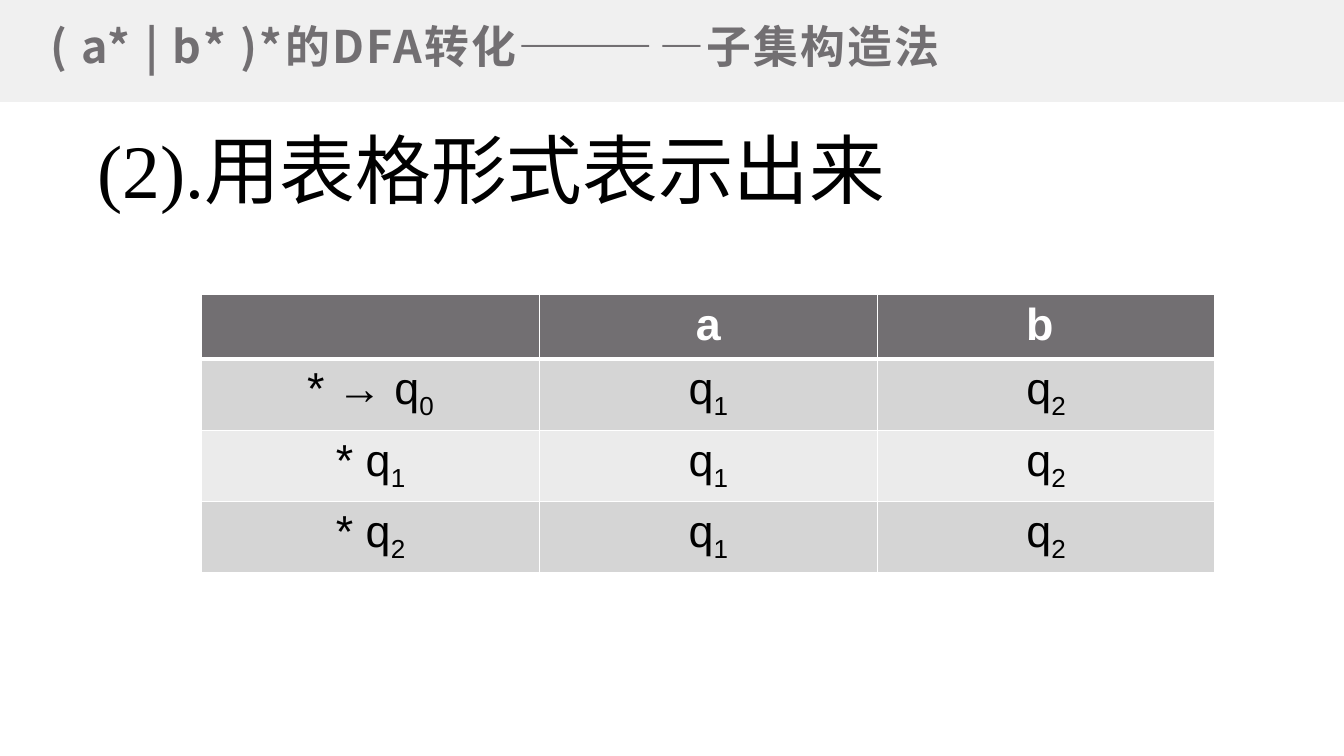
from dataclasses import dataclass

from lxml import etree
from pptx import Presentation, util as u
from pptx.dml.color import RGBColor
from pptx.enum import shapes, text
from pptx.oxml.ns import qn


@dataclass(frozen=True)
class Theme:
    band: str = "F0F0F0"
    grey: str = "726F72"
    white: str = "FFFFFF"
    black: str = "000000"
    rows: tuple = ("EBEBEB", "D5D5D5")
    sans: str = "Arial"
    serif: str = "Times New Roman"
    han: str = "Noto Sans CJK SC"
    body: int = 32
    head: int = 54


class Deck:
    """Draws on one slide; every box is (left, top, width, height) as shares of the slide."""

    def __init__(self, theme):
        self.theme = theme
        self.prs = Presentation()
        self.prs.slide_width = u.Inches(13.33)
        self.prs.slide_height = u.Inches(7.5)
        self.slide = self.prs.slides.add_slide(self.prs.slide_layouts[5])

    def place(self, box):
        wide, high = self.prs.slide_width, self.prs.slide_height
        return [round(part * side) for part, side in zip(box, (wide, high) * 2)]

    def style(self, run, face, size, color, bold=False):
        font = run.font
        font.name, font.size, font.bold = face, u.Pt(size), bold
        font.color.rgb = RGBColor.from_string(color)
        props = font._element
        east = etree.Element(qn("a:ea"), typeface=self.theme.han)
        props.find(qn("a:latin")).addnext(east)
        return props

    def band(self, box):
        bar = self.slide.shapes.add_shape(shapes.MSO_SHAPE.RECTANGLE, *self.place(box))
        bar.shadow.inherit = False
        bar.fill.solid()
        bar.fill.fore_color.rgb = RGBColor.from_string(self.theme.band)
        bar.line.fill.background()
        self.slide.shapes.title.element.addprevious(bar.element)

    def title(self, box, words):
        title = self.slide.shapes.title
        title.left, title.top, title.width, title.height = self.place(box)
        frame = title.text_frame
        frame.text = words
        frame.auto_size = text.MSO_AUTO_SIZE.NONE
        frame.vertical_anchor = text.MSO_ANCHOR.MIDDLE
        frame.margin_left = frame.margin_right = u.Inches(0.07)
        frame.margin_top = frame.margin_bottom = u.Inches(0.03)
        para = frame.paragraphs[0]
        para.alignment = text.PP_ALIGN.LEFT
        look = self.theme
        props = self.style(para.runs[0], look.han, look.body, look.grey, True)
        props.set("spc", "160")

    def text(self, box, words):
        frame = self.slide.shapes.add_textbox(*self.place(box)).text_frame
        frame.word_wrap = True
        frame.auto_size = text.MSO_AUTO_SIZE.SHAPE_TO_FIT_TEXT
        frame.text = words
        look = self.theme
        self.style(frame.paragraphs[0].runs[0], look.serif, look.head, look.black)

    def edge(self, cell, side, width):
        line = etree.Element(qn(f"a:ln{side}"), w=str(u.Pt(width)))
        fill = etree.SubElement(line, qn("a:solidFill"))
        etree.SubElement(fill, qn("a:srgbClr"), val=self.theme.white)
        return line

    def cell(self, cell, words, row):
        """Fill one cell; the part of words after "_" is set as a subscript."""
        look, top = self.theme, row == 0
        para = cell.text_frame.paragraphs[0]
        para.alignment = text.PP_ALIGN.CENTER
        base, _, sub = words.partition("_")
        for part, drop in ((base, False), (sub, True)):
            if part:
                run = para.add_run()
                run.text = part
                color = look.white if top else look.black
                props = self.style(run, look.sans, look.body, color, top)
                if drop:
                    props.set("baseline", "-25000")
        cell.fill.solid()
        shade = look.grey if top else look.rows[row % 2]
        cell.fill.fore_color.rgb = RGBColor.from_string(shade)
        props = cell._tc.get_or_add_tcPr()
        for spot, side in enumerate("LRTB"):
            thick = (top and side == "B") or (row == 1 and side == "T")
            props.insert(spot, self.edge(cell, side, 3 if thick else 1))

    def table(self, box, rows):
        shape = self.slide.shapes.add_table(len(rows), len(rows[0]), *self.place(box))
        for r, row in enumerate(rows):
            for c, words in enumerate(row):
                self.cell(shape.table.cell(r, c), words, r)


def main():
    deck = Deck(Theme())
    deck.band((0, 0, 1, 0.135))
    deck.title((0.032, 0.015, 0.925, 0.09), "( a* | b* )*的DFA转化————子集构造法")
    deck.text((0.065, 0.156, 0.86, 0.135), "(2).用表格形式表示出来")
    moves = [[state, "q_1", "q_2"] for state in ("* → q_0", "* q_1", "* q_2")]
    deck.table((0.15, 0.39, 0.754, 0.34), [["", "a", "b "], *moves])
    deck.prs.save("out.pptx")


if __name__ == "__main__":
    main()
